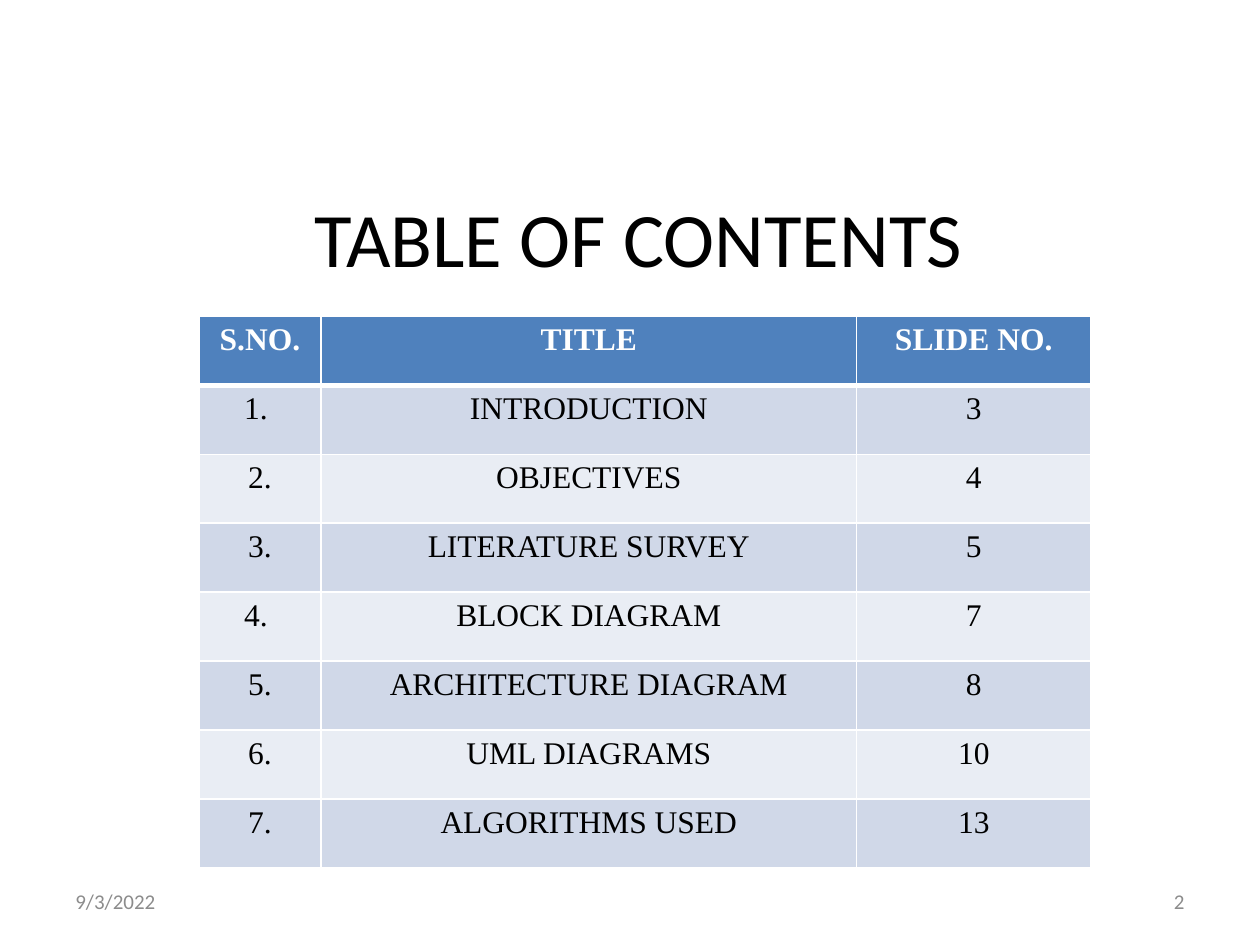
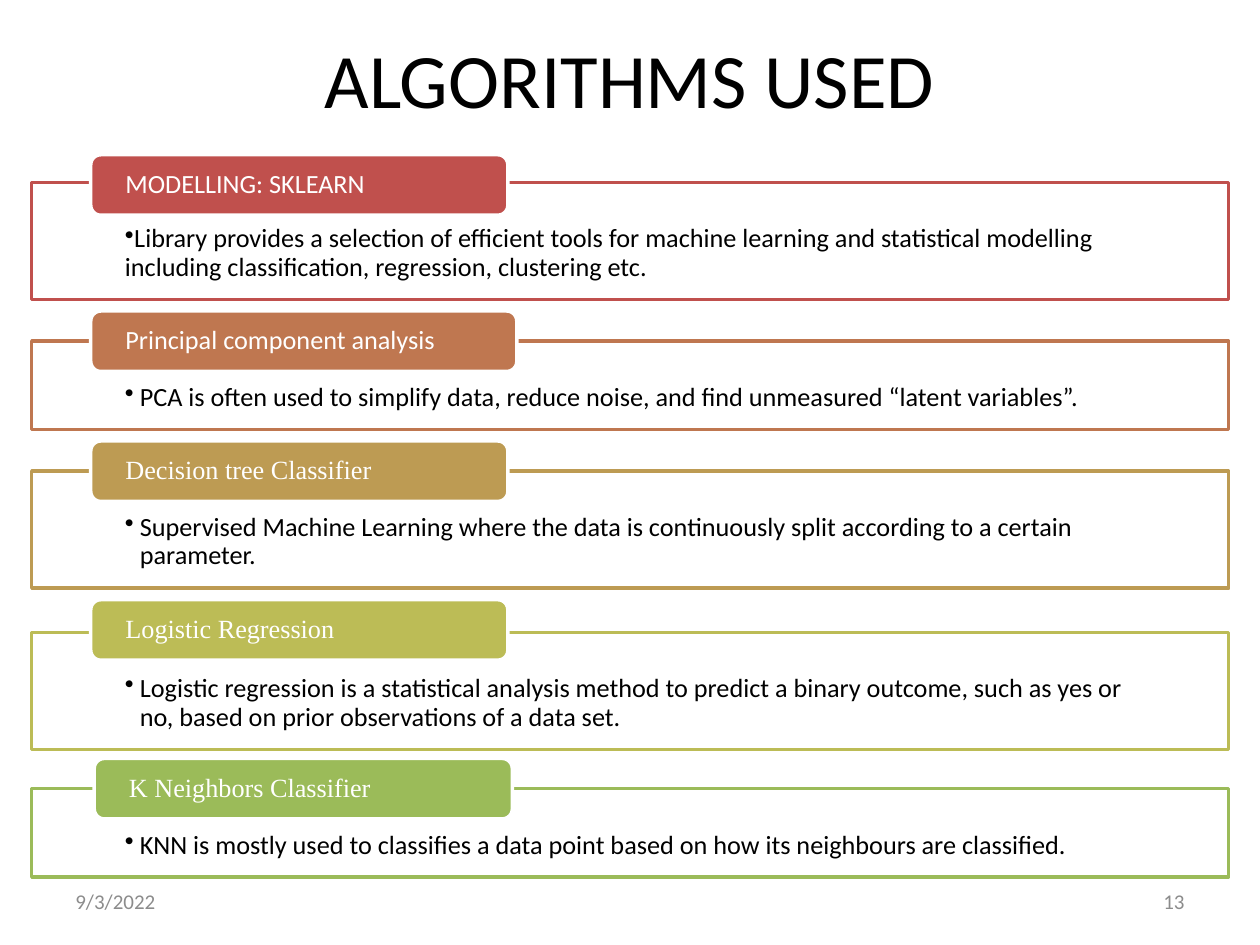
from lxml import etree
from pptx import Presentation
from pptx.dml.color import RGBColor
from pptx.enum.shapes import MSO_SHAPE
from pptx.enum.text import MSO_ANCHOR, PP_ALIGN
from pptx.oxml.ns import qn
from pptx.util import Cm, Pt

RECT, ROUND = MSO_SHAPE.RECTANGLE, MSO_SHAPE.ROUNDED_RECTANGLE
LEFT, CENTER, RIGHT = PP_ALIGN.LEFT, PP_ALIGN.CENTER, PP_ALIGN.RIGHT
TOP, MIDDLE = MSO_ANCHOR.TOP, MSO_ANCHOR.MIDDLE

BLACK = RGBColor(0x00, 0x00, 0x00)
WHITE = RGBColor(0xFF, 0xFF, 0xFF)
GREY = RGBColor(0x8C, 0x8C, 0x8C)
BLUE = RGBColor(0x4F, 0x81, 0xBD)
BAND_DARK = RGBColor(0xD0, 0xD8, 0xE8)
BAND_LIGHT = RGBColor(0xE9, 0xED, 0xF4)
RED = RGBColor(0xC0, 0x50, 0x4D)
RUST = RGBColor(0xBF, 0x77, 0x50)
OCHRE = RGBColor(0xBD, 0x9B, 0x53)
OLIVE = RGBColor(0xBC, 0xBC, 0x56)
GREEN = RGBColor(0x9B, 0xBB, 0x59)
SANS, SERIF = "Calibri", "Times New Roman"


def write(tf, text, size=15, font=SANS, color=BLACK, bold=False, align=LEFT,
          anchor=MIDDLE, margins=None, spacing=None, hang=None):
    """Fill a text frame; margins are l, t, r, b in cm, hang adds a bullet."""
    tf.word_wrap = True
    tf.vertical_anchor = anchor
    if margins:
        (tf.margin_left, tf.margin_top,
         tf.margin_right, tf.margin_bottom) = [Cm(m) for m in margins]
    p = tf.paragraphs[0]
    p.alignment = align
    if spacing:
        p.line_spacing = spacing
    if hang is not None:
        pPr = p._p.get_or_add_pPr()
        pPr.set("marL", str(Cm(hang)))
        pPr.set("indent", str(-Cm(hang)))
        etree.SubElement(pPr, qn("a:buChar")).set("char", "•")
    r = p.add_run()
    r.text = text
    r.font.size, r.font.name, r.font.bold = Pt(size), font, bold
    r.font.color.rgb = color


def add_slide(title, top, height, number):
    """Blank slide with the shared title style, date and slide number."""
    s = prs.slides.add_slide(prs.slide_layouts[6])
    for text, x, y, w, h, size, color, align in [
        (title, 1.27, top, 22.86, height, 44, BLACK, CENTER),
        ("9/3/2022", 1.27, 17.65, 5.92, 1.02, 12, GREY, LEFT),
        (number, 18.21, 17.65, 5.92, 1.02, 12, GREY, RIGHT),
    ]:
        box = s.shapes.add_textbox(Cm(x), Cm(y), Cm(w), Cm(h))
        write(box.text_frame, text, size=size, color=color, align=align)
    return s


prs = Presentation()
prs.slide_width, prs.slide_height = Cm(25.4), Cm(19.05)

# Slide 1: table of contents
s = add_slide(" TABLE OF CONTENTS", 3.18, 3.18, "2")
rows = [
    ("S.NO.", "TITLE", "SLIDE NO."),
    ("1. ", "INTRODUCTION", "3"),
    ("2.", "OBJECTIVES", "4"),
    ("3.", "LITERATURE SURVEY", "5"),
    ("4. ", "BLOCK DIAGRAM", "7"),
    ("5.", "ARCHITECTURE DIAGRAM", "8"),
    ("6.", "UML DIAGRAMS", "10"),
    ("7.", "ALGORITHMS USED", "13"),
]
col_widths, row_height = (2.46, 10.8, 4.72), 1.39
table = s.shapes.add_table(len(rows), len(col_widths), Cm(4.01), Cm(6.38),
                           Cm(sum(col_widths)), Cm(row_height * len(rows))).table
for column, width in zip(table.columns, col_widths):
    column.width = Cm(width)
for i, row in enumerate(rows):
    table.rows[i].height = Cm(row_height)
    header = i == 0
    for j, text in enumerate(row):
        cell = table.cell(i, j)
        write(cell.text_frame, text, size=18, font=SERIF, bold=header,
              color=WHITE if header else BLACK, align=CENTER, anchor=TOP)
        cell.vertical_anchor = TOP
        cell.fill.solid()
        cell.fill.fore_color.rgb = BLUE if header else (BAND_LIGHT, BAND_DARK)[i % 2]
        # White cell borders, thick between the header and the body
        tcPr = cell._tc.get_or_add_tcPr()
        for k, edge in enumerate(("lnL", "lnR", "lnT", "lnB")):
            thick = (i, edge) in ((0, "lnB"), (1, "lnT"))
            ln = etree.Element(qn("a:" + edge), w=str(Pt(3 if thick else 1)))
            fill = etree.SubElement(ln, qn("a:solidFill"))
            etree.SubElement(fill, qn("a:srgbClr"), val=str(WHITE))
            tcPr.insert(k, ln)

# Slide 2: one outlined panel with a heading tab per algorithm
s = add_slide("ALGORITHMS USED", 0.18, 2.79, "13")
ONE_LINE, TWO_LINES = 1.78, 2.36
# heading, font, colour, tab (x, y, width), panel (y, height), bullet hang, text
algorithms = [
    ("MODELLING: SKLEARN", SANS, RED, (1.83, 3.12, 8.41), (3.68, TWO_LINES), 0,
     "Library provides a selection of efficient tools for machine learning and "
     "statistical modelling including classification, regression, clustering etc."),
    ("Principal component analysis", SANS, RUST, (1.83, 6.27, 8.59), (6.88, ONE_LINE), 0.3,
     "PCA is often used to simplify data, reduce noise, and find unmeasured "
     "“latent variables”."),
    ("Decision tree Classifier", SERIF, OCHRE, (1.83, 8.89, 8.41), (9.5, TWO_LINES), 0.3,
     "Supervised Machine Learning where the data is continuously split "
     "according to a certain parameter."),
    ("Logistic Regression", SERIF, OLIVE, (1.83, 12.09, 8.41), (12.75, TWO_LINES), 0.3,
     "Logistic regression is a statistical analysis method to predict a binary "
     "outcome, such as yes or no, based on prior observations of a data set."),
    ("K Neighbors Classifier", SERIF, GREEN, (1.9, 15.29, 8.43), (15.9, ONE_LINE), 0.3,
     "KNN is mostly used to classifies a data point based on how its "
     "neighbours are classified."),
]
for heading, font, color, (tab_x, tab_y, tab_w), (y, h), hang, text in algorithms:
    panel = s.shapes.add_shape(RECT, Cm(0.64), Cm(y), Cm(24.13), Cm(h))
    tab = s.shapes.add_shape(ROUND, Cm(tab_x), Cm(tab_y), Cm(tab_w), Cm(1.22))
    for sp, fill, line in ((panel, WHITE, color), (tab, color, WHITE)):
        sp.shadow.inherit = False
        sp.fill.solid()
        sp.fill.fore_color.rgb = fill
        sp.line.color.rgb = line
        sp.line.width = Pt(2)
    write(panel.text_frame, text, anchor=TOP, margins=(1.88, 0.86, 1.88, 0.3),
          spacing=0.9, hang=hang)
    write(tab.text_frame, heading, font=font, color=WHITE,
          margins=(0.64, 0, 0.64, 0), spacing=0.9)

prs.save("out.pptx")
